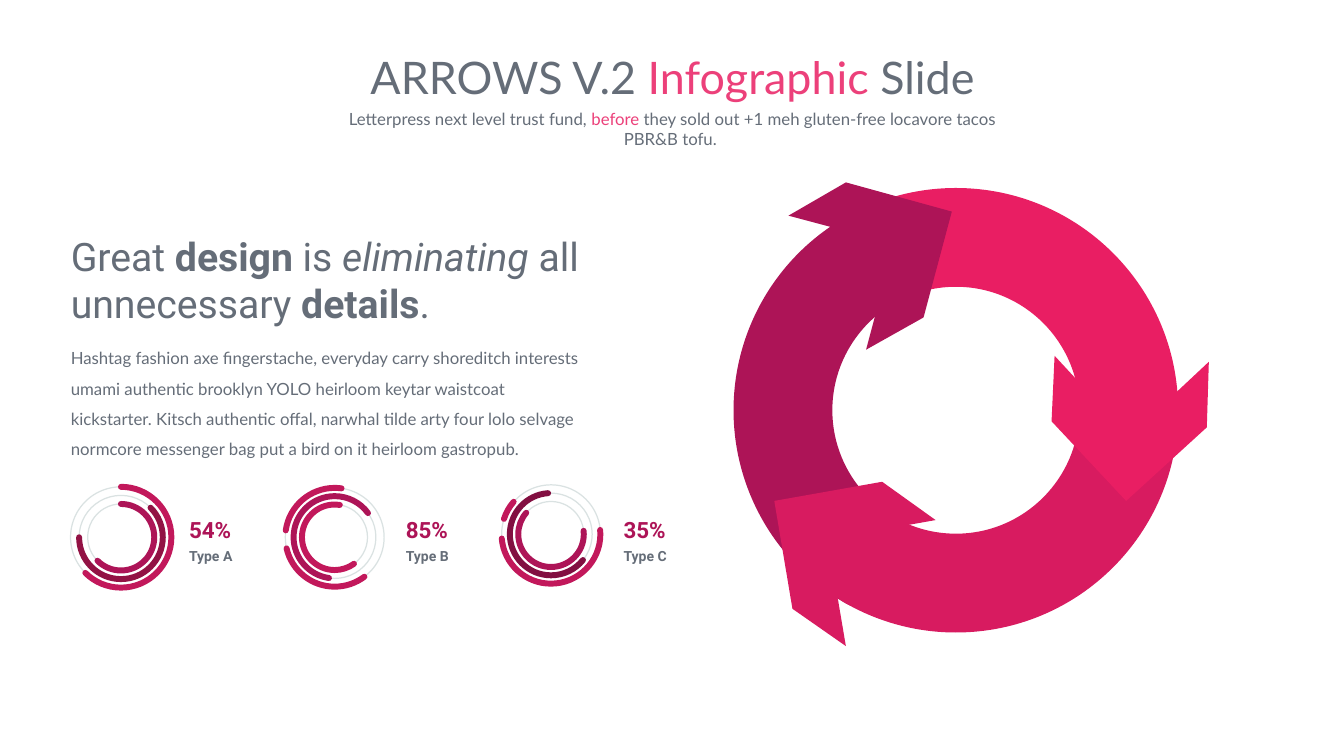
from math import ceil, cos, floor, radians, sin, tan

from lxml import etree
from pptx import Presentation
from pptx import util as u
from pptx.dml.color import RGBColor
from pptx.enum import shapes, text
from pptx.oxml import ns

# Grid of square cells: 133.3 columns by 75 rows
CELL = u.Inches(0.1)
COLUMNS, ROWS = 133.3, 75

GREY, PINK, TRACK = "656D78", "EC407A", "DAE2E2"
PLUM, ROSE, RED, CRIMSON = "AD1457", "D81B60", "E91E63", "C2185B"

# Cycle ring: centre, middle radius and half thickness
RING_CENTRE, RING_RADIUS, RING_HALF = (94.8, 40.7), 17.15, 4.9
# Colour, start angle, direction of the start cap (1 outwards, -1 inwards)
SEGMENTS = [(PLUM, 120, 1), (ROSE, 0, 1), (RED, 240, -1)]
ARROWHEADS = [
    (PLUM, [(85.9, 34.7), (88.7, 24.2), (78.2, 21.4), (83.9, 18.1), (94.4, 21), (91.6, 31.5)]),
    (RED, [(104.6, 35.3), (112, 43.3), (119.9, 35.9), (119.7, 42.4), (111.7, 49.7), (104.3, 41.8)]),
    (ROSE, [(92.8, 51.6), (82.1, 53.5), (83.9, 64.1), (78.6, 60.4), (76.8, 49.7), (87.5, 47.8)]),
]

# Dials: centre, radii, label column, value, name, arcs (track, start, end, colour)
WIDE, NARROW = (5, 4.15, 3.3), (4.9, 4.08, 3.25)
DIALS = [
    ((12, 53.3), WIDE, 18.75, "54%", "Type A",
     [(0, -90, 135, CRIMSON), (1, -45, 180, "921244"), (2, -90, 135, PLUM)]),
    ((33.2, 53.3), NARROW, 40.25, "85%", "Type B",
     [(0, 188, 278, CRIMSON), (0, 53, 167, CRIMSON), (1, 98, 324, PLUM), (2, 54, 279, CRIMSON)]),
    ((54.65, 53), NARROW, 61.85, "35%", "Type C",
     [(0, 198, 221, CRIMSON), (0, -5, 175, CRIMSON), (1, 39, 266, "820F41"), (2, -6, 221, PLUM)]),
]


def cells(count):
    return u.Emu(round(count * CELL))


def colour(hex_code):
    return RGBColor.from_string(hex_code)


def on_circle(centre, radius, angle):
    return centre[0] + radius * cos(radians(angle)), centre[1] + radius * sin(radians(angle))


def arc_curves(centre, radius, start, end):
    """Bezier points after the start, cut at each quarter; clockwise from the right."""
    low, high = sorted((start, end))
    quarters = [90 * q for q in range(floor(low / 90) + 1, ceil(high / 90))]
    stops = [low, *quarters, high]
    if end < start:
        stops.reverse()
    points = []
    for a, b in zip(stops, stops[1:]):
        pull = 4 / 3 * tan(radians(b - a) / 4)
        (ax, ay), (bx, by) = on_circle(centre, radius, a), on_circle(centre, radius, b)
        points += [(ax - pull * (ay - centre[1]), ay + pull * (ax - centre[0])),
                   (bx + pull * (by - centre[1]), by - pull * (bx - centre[0])), (bx, by)]
    return points


def add_outline(slide, points, closed, curved):
    first, *rest = [(cells(x), cells(y)) for x, y in points]
    builder = slide.shapes.build_freeform(*first)
    builder.add_line_segments(rest, close=closed)
    outline = builder.convert_to_shape()
    outline.shadow.inherit = False
    if curved:
        # Every three points make one cubic curve
        lines = list(outline._element.iter(ns.qn("a:lnTo")))[:len(rest)]
        for group in range(0, len(lines), 3):
            curve = etree.Element(ns.qn("a:cubicBezTo"))
            lines[group].addprevious(curve)
            for line in lines[group:group + 3]:
                curve.append(line[0])
                line.getparent().remove(line)
    return outline


def add_area(slide, points, fill, curved=False):
    area = add_outline(slide, points, True, curved)
    area.fill.solid()
    area.fill.fore_color.rgb = colour(fill)
    area.line.fill.background()


def set_stroke(shape, hex_code, width):
    shape.fill.background()
    shape.line.color.rgb = colour(hex_code)
    shape.line.width = u.Pt(width)


def add_ring_segment(slide, fill, start, start_cap):
    end, outer, inner = start + 120, RING_RADIUS + RING_HALF, RING_RADIUS - RING_HALF

    def cap(angle, first, last):
        middle = on_circle(RING_CENTRE, RING_RADIUS, angle)
        return arc_curves(middle, RING_HALF, angle + first, angle + last)

    add_area(slide,
             [on_circle(RING_CENTRE, outer, start)]
             + arc_curves(RING_CENTRE, outer, start, end)
             + cap(end, 0, 180)
             + arc_curves(RING_CENTRE, inner, end, start)
             + cap(start, 180, 180 + 180 * start_cap), fill, curved=True)


def add_track(slide, centre, radius):
    track = slide.shapes.add_shape(
        shapes.MSO_SHAPE.OVAL, cells(centre[0] - radius), cells(centre[1] - radius),
        cells(2 * radius), cells(2 * radius))
    track.shadow.inherit = False
    set_stroke(track, TRACK, 0.88)


def add_dial_arc(slide, centre, radius, start, end, hex_code):
    points = [on_circle(centre, radius, start)] + arc_curves(centre, radius, start, end)
    arc = add_outline(slide, points, False, True)
    set_stroke(arc, hex_code, 4.25)
    line = arc.line._get_or_add_ln()
    line.set("cap", "rnd")
    etree.SubElement(line, ns.qn("a:round"))


def add_words(slide, box, runs, font, size, hex_code=GREY, bold=None,
              align=text.PP_ALIGN.LEFT, spacing=None, inset=True):
    """Each run is a string, or a string with the font settings that differ."""
    words = slide.shapes.add_textbox(*[cells(v) for v in box])
    frame = words.text_frame
    frame.word_wrap = True
    if inset:
        frame.auto_size = text.MSO_AUTO_SIZE.SHAPE_TO_FIT_TEXT
    else:
        frame.margin_left = frame.margin_right = frame.margin_top = frame.margin_bottom = 0
    paragraph = frame.paragraphs[0]
    paragraph.alignment = align
    paragraph.line_spacing = spacing
    paragraph.font.name, paragraph.font.size = font, u.Pt(size)
    paragraph.font.bold = bold
    paragraph.font.color.rgb = colour(hex_code)
    for item in runs:
        wording, style = (item, {}) if isinstance(item, str) else item
        run = paragraph.add_run()
        run.text = wording
        if "colour" in style:
            run.font.color.rgb = colour(style["colour"])
        run.font.bold = style.get("bold")
        run.font.italic = style.get("italic")


def add_dial(slide, centre, radii, label_column, value, name, arcs):
    for radius in radii:
        add_track(slide, centre, radius)
    for track, start, end, hex_code in arcs:
        add_dial_arc(slide, centre, radii[track], start, end, hex_code)
    add_words(slide, (label_column, 51.5, 4.9, 2.9), [value], "Roboto", 16, PLUM,
              bold=True, spacing=0.9, inset=False)
    add_words(slide, (label_column, 54.5, 4.9, 2.3), [name], "Roboto", 10,
              bold=True, spacing=0.9, inset=False)


def main():
    deck = Presentation()
    deck.slide_width, deck.slide_height = cells(COLUMNS), cells(ROWS)
    slide = deck.slides.add_slide(deck.slide_layouts[6])
    centre = text.PP_ALIGN.CENTER

    # Heading
    add_words(slide, (25.4, 4.45, 82.6, 6.4),
              ["ARROWS V.2 ", ("Infographic ", {"colour": PINK}), "Slide"],
              "Lato", 32, align=centre)
    add_words(slide, (31.95, 10.3, 69.5, 3),
              ["Letterpress next level trust fund, ", ("before", {"colour": PINK}),
               " they sold out +1 meh gluten-free locavore tacos PBR&B tofu. "],
              "Lato", 12, align=centre)

    # Cycle of three arrows
    for segment in SEGMENTS:
        add_ring_segment(slide, *segment)
    for fill, corners in ARROWHEADS:
        add_area(slide, corners, fill)

    # Statement
    add_words(slide, (6.04, 22.6, 54.6, 10.4),
              ["Great ", ("design", {"bold": True}), " is ",
               ("eliminating", {"italic": True}), " all unnecessary ",
               ("details", {"bold": True}), "."], "Roboto", 28)
    add_words(slide, (6.04, 33.05, 53.2, 13.1),
              ["Hashtag fashion axe fingerstache, everyday carry shoreditch interests "
               "umami authentic brooklyn YOLO heirloom keytar waistcoat kickstarter. "
               "Kitsch authentic offal, narwhal tilde arty four lolo selvage normcore "
               "messenger bag put a bird on it heirloom gastropub."],
              "Lato", 12, spacing=1.5)

    # Dials
    for dial in DIALS:
        add_dial(slide, *dial)

    deck.save("out.pptx")


if __name__ == "__main__":
    main()
